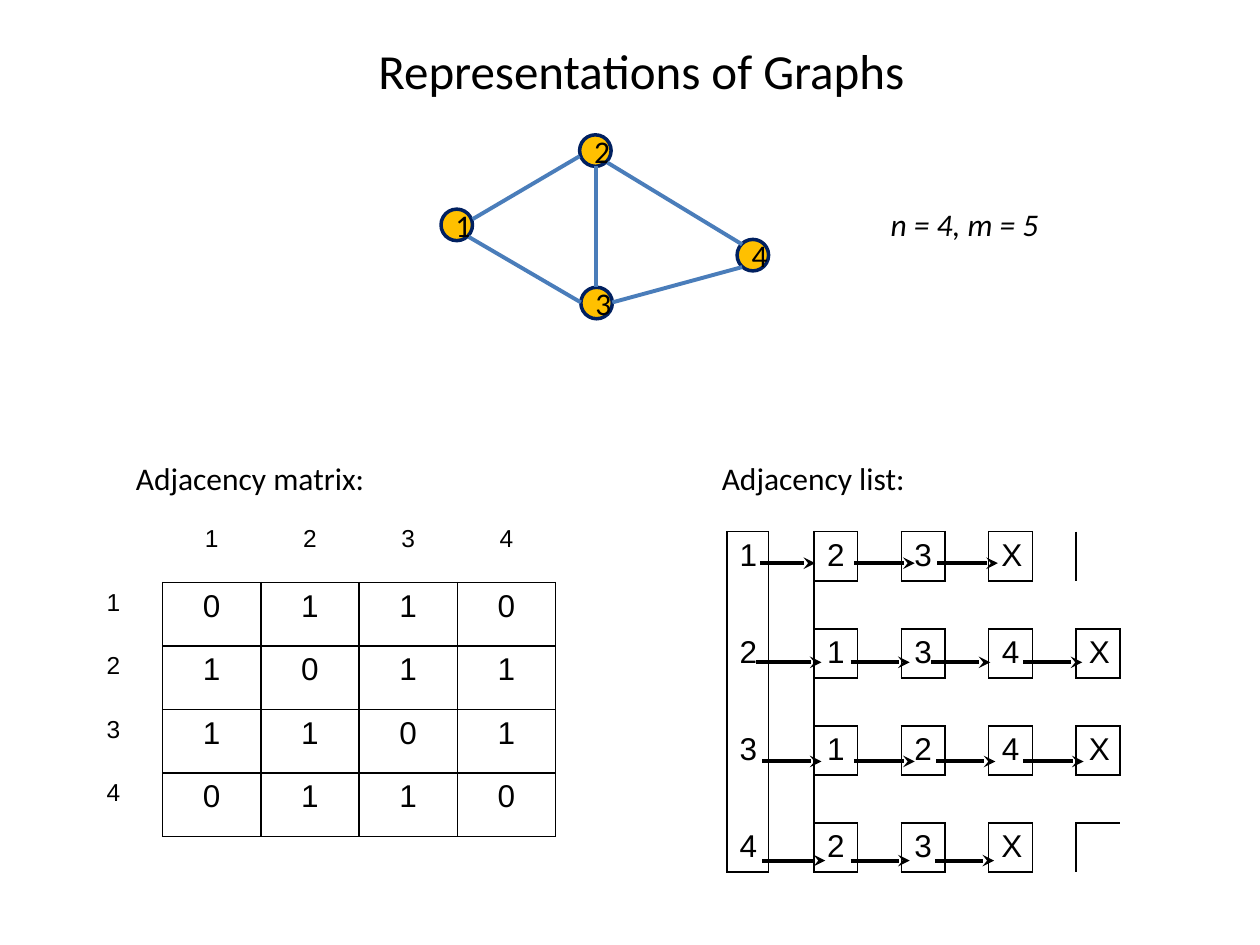
"""Build a slide showing a graph with its adjacency matrix and adjacency list."""
from dataclasses import dataclass

from lxml import etree
from pptx import Presentation
from pptx import util as u
from pptx.dml.color import RGBColor
from pptx.enum import shapes, text
from pptx.oxml.ns import qn


@dataclass(frozen=True)
class Theme:
    ink: str = "000000"
    paper: str = "FFFFFF"
    node: str = "FFC000"
    ring: str = "002060"
    edge: str = "4A7DBA"
    heading_font: str = "Calibri"
    table_font: str = "Arial"
    title_size: int = 28
    body_size: int = 18
    index_size: int = 14
    thin: float = 1
    outline: float = 2
    thick: float = 2.25


THEME = Theme()
TITLE = "Representations of Graphs"
LABELS = [
    ("n = 4, m = 5", (6.97, 1.58, 2.13, 0.4), True),
    ("Adjacency matrix:", (0.98, 3.59, 4.09, 0.4), False),
    ("Adjacency list:", (5.63, 3.59, 4.09, 0.4), False),
]
NODE_SIZE = 0.25
NODES = {"1": (3.5, 1.66), "2": (4.6, 1.07), "3": (4.61, 2.28), "4": (5.85, 1.9)}
EDGES = [
    ((3.75, 1.74), (4.6, 1.24)),
    ((4.73, 1.32), (4.73, 2.28)),
    ((4.86, 2.4), (5.89, 2.12)),
    ((3.72, 1.88), (4.61, 2.4)),
    ((4.82, 1.29), (5.89, 1.94)),
]
MATRIX = ["0110", "1011", "1101", "0110"]
ADJACENCY = {"1": "23X", "2": "134X", "3": "124X", "4": "23X"}
ARROW_SPANS = [
    [(6.03, 6.47), (6.78, 7.26), (7.44, 7.92)],
    [(6, 6.52), (6.75, 7.22), (7.39, 7.86), (8.12, 8.59)],
    [(6.05, 6.52), (6.78, 7.26), (7.43, 7.9), (8.12, 8.6)],
    [(6.05, 6.55), (6.75, 7.22), (7.42, 7.89)],
]
ARROW_TOP, ARROW_BOTTOM = 4.47, 6.83
PLAIN_TABLE_STYLE = "{2D5ABB26-0587-4C30-8999-92F81FD0307C}"
SIDES = {"lnL": (0, -1), "lnR": (0, 1), "lnT": (-1, 0), "lnB": (1, 0)}


def inches(values):
    return [u.Inches(value) for value in values]


def color(value):
    return RGBColor.from_string(value)


def write(frame, words, size, font=THEME.heading_font, align=None, italic=False):
    para = frame.paragraphs[0]
    para.alignment = align
    span = para.add_run()
    span.text = words
    span.font.size = u.Pt(size)
    span.font.name = font
    span.font.italic = italic
    span.font.color.rgb = color(THEME.ink)


def add_label(page, words, place, italic):
    box = page.shapes.add_textbox(*inches(place))
    box.text_frame.word_wrap = True
    write(box.text_frame, words, THEME.body_size, italic=italic)


def add_node(page, name, place):
    node = page.shapes.add_shape(
        shapes.MSO_SHAPE.OVAL, *inches((*place, NODE_SIZE, NODE_SIZE)))
    node.shadow.inherit = False
    node.fill.solid()
    node.fill.fore_color.rgb = color(THEME.node)
    node.line.color.rgb = color(THEME.ring)
    node.line.width = u.Pt(THEME.outline)
    node.text_frame.vertical_anchor = text.MSO_ANCHOR.MIDDLE
    write(node.text_frame, name, THEME.body_size, align=text.PP_ALIGN.CENTER)


def add_line(page, start, end, line_color, arrow=False):
    line = page.shapes.add_connector(
        shapes.MSO_CONNECTOR.STRAIGHT, *inches((*start, *end)))
    line.line.color.rgb = color(line_color)
    line.line.width = u.Pt(THEME.thick)
    if arrow:
        etree.SubElement(line.line._get_or_add_ln(), qn("a:tailEnd"), type="stealth")
    etree.SubElement(line._element.spPr, qn("a:effectLst"))


def add_borders(cell, sides):
    properties = cell._tc.get_or_add_tcPr()
    for position, side in enumerate(sides):
        border = etree.Element(qn(f"a:{side}"), w=str(u.Pt(THEME.thin)))
        fill = etree.SubElement(border, qn("a:solidFill"))
        etree.SubElement(fill, qn("a:srgbClr"), val=THEME.ink)
        properties.insert(position, border)


def add_grid(page, corner, widths, row_height, rows, group, size_at):
    """Draw a table with a border wherever neighbouring cells differ in group."""
    extent = (sum(widths), row_height * len(rows))
    frame = page.shapes.add_table(len(rows), len(widths), *inches((*corner, *extent)))
    table = frame.table
    table.first_row = table.horz_banding = False
    table._tbl.tblPr.find(qn("a:tableStyleId")).text = PLAIN_TABLE_STYLE
    for column, width in zip(table.columns, widths):
        column.width = u.Inches(width)
    for r, row in enumerate(rows):
        table.rows[r].height = u.Inches(row_height)
        for c, words in enumerate(row):
            cell = table.cell(r, c)
            cell.fill.solid()
            cell.fill.fore_color.rgb = color(THEME.paper)
            if words:
                cell.margin_top, cell.margin_bottom = inches((0.05, 0.04))
                write(cell.text_frame, words, size_at(r, c), THEME.table_font,
                      text.PP_ALIGN.CENTER)
            else:
                cell.margin_top = cell.margin_bottom = 0
            add_borders(cell, [side for side, (down, right) in SIDES.items()
                               if group(r, c) != group(r + down, c + right)])


def add_matrix(page):
    names = list(NODES)
    rows = [["", *names]] + [[name, *row] for name, row in zip(names, MATRIX)]

    def group(r, c):
        return (r, c) if 1 <= r < len(rows) and 1 <= c < len(rows) else None

    def size_at(r, c):
        return THEME.body_size if r and c else THEME.index_size

    add_grid(page, (0.51, 4.12), [0.78] * len(rows), 2.52 / len(rows),
             rows, group, size_at)


def add_list(page):
    widths = [0.33, 0.36] + [2.43 / 7] * 7
    rows = []
    for name, chain in ADJACENCY.items():
        if rows:
            rows.append([""] * len(widths))
        linked = [name] + [part for item in chain for part in ("", item)]
        rows.append(linked + [""] * (len(widths) - len(linked)))

    def group(r, c):
        if not (0 <= r < len(rows) and 0 <= c < len(widths)):
            return None
        if c == 0:
            return "vertices"
        return (r, c) if rows[r][c] else None

    add_grid(page, (5.77, 4.22), widths, 0.38, rows, group,
             lambda r, c: THEME.body_size)
    step = (ARROW_BOTTOM - ARROW_TOP) / (len(ARROW_SPANS) - 1)
    for index, spans in enumerate(ARROW_SPANS):
        y = ARROW_TOP + index * step
        for start, end in spans:
            add_line(page, (start, y), (end, y), THEME.ink, arrow=True)


def main():
    deck = Presentation()
    deck.slide_width, deck.slide_height = inches((10, 7.5))
    page = deck.slides.add_slide(deck.slide_layouts.get_by_name("Title Only"))
    title = page.shapes.title
    title.left, title.top, title.width, title.height = inches((0.59, 0.21, 9, 0.69))
    title.text_frame.vertical_anchor = text.MSO_ANCHOR.MIDDLE
    write(title.text_frame, TITLE, THEME.title_size, align=text.PP_ALIGN.CENTER)
    for name, place in NODES.items():
        add_node(page, name, place)
    for start, end in EDGES:
        add_line(page, start, end, THEME.edge)
    for words, place, italic in LABELS:
        add_label(page, words, place, italic)
    add_matrix(page)
    add_list(page)
    deck.save("out.pptx")


if __name__ == "__main__":
    main()
